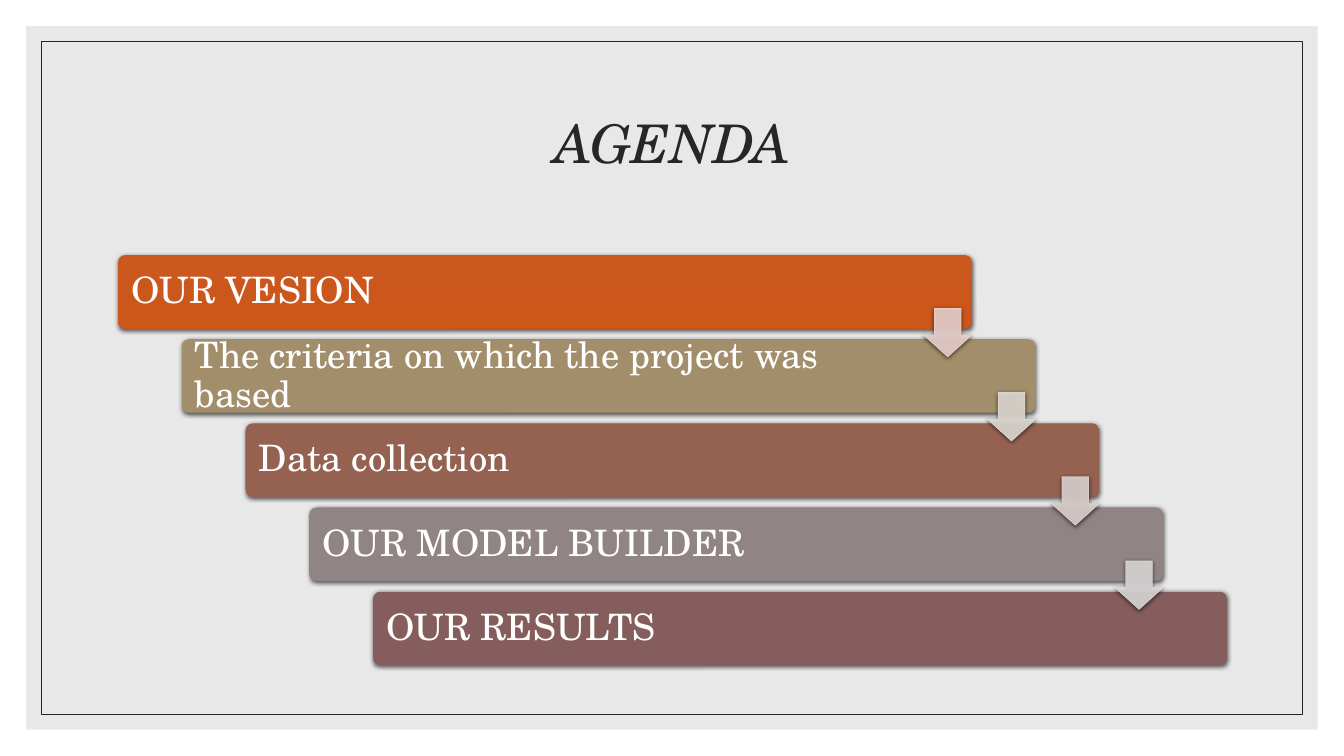
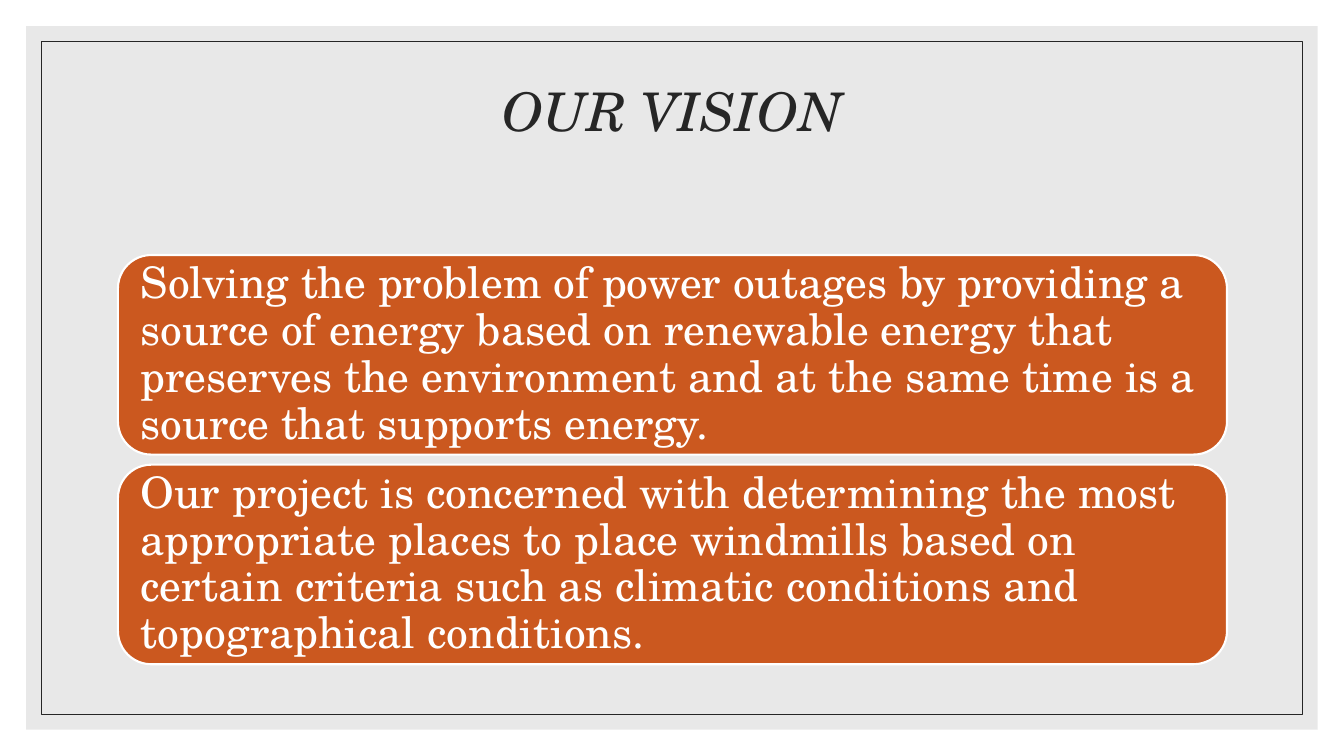
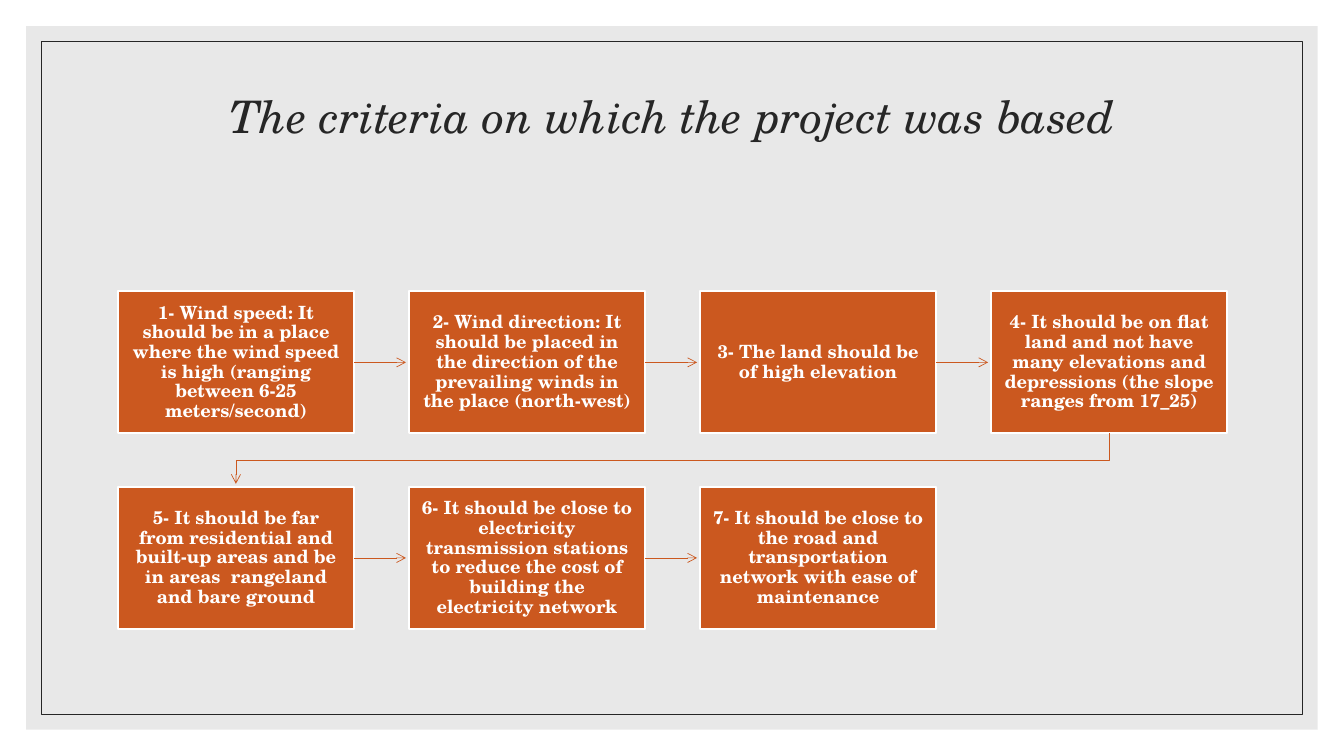
from pptx import Presentation
from pptx.dml.color import RGBColor
from pptx.enum import shapes, text
from pptx.oxml import ns, xmlchemy
from pptx.util import Inches, Pt

FONT = "TeX Gyre Schola"
WHITE = RGBColor(0xFF, 0xFF, 0xFF)
GREY = RGBColor(0xD9, 0xD9, 0xD9)
DARK = RGBColor(0x26, 0x26, 0x26)
RUST = RGBColor(0xCB, 0x58, 0x1F)
WIDE, HIGH = 13.33, 7.5
LEFT, SPAN = 1.17, 11  # content column

KIND = shapes.MSO_SHAPE
MID, SIDE = text.PP_ALIGN.CENTER, text.PP_ALIGN.LEFT

# label, gradient start, gradient end, colour of the arrow to the next step
AGENDA = [
    ("OUR VESION", "CB581F", "CD561A", "ECD1CD"),
    ("The criteria on which the project was based", "A28E6A", "A28D68", "E0DBD4"),
    ("Data collection", "956251", "95604F", "DDD3D0"),
    ("OUR MODEL BUILDER", "918485", "908384", "DCD9D9"),
    ("OUR RESULTS", "855D5D", "855B5B", None),
]
VISION = [
    "Solving the problem of power outages by providing a source of energy based on "
    "renewable energy that preserves the environment and at the same time is a source "
    "that supports energy.",
    "Our project is concerned with determining the most appropriate places to place "
    "windmills based on certain criteria such as climatic conditions and topographical "
    "conditions.",
]
RULES = [
    "1- Wind speed: It should be in a place where the wind speed is high "
    "(ranging between 6-25 meters/second)",
    "2- Wind direction: It should be placed in the direction of the prevailing winds "
    "in the place (north-west)",
    "3- The land should be of high elevation",
    "4- It should be on flat land and not have many elevations and depressions "
    "(the slope ranges from 17_25)",
    "5- It should be far from residential and built-up areas and be in areas  rangeland "
    "and bare ground",
    "6- It should be close to electricity transmission stations to reduce the cost of "
    "building the electricity network",
    "7- It should be close to the road and transportation network with ease of maintenance",
]


def write(shape, words, size, color=WHITE, align=SIDE, bold=False, italic=False,
          pad=(0.1, 0.05, 0.1, 0.05)):
    """Fill a shape with one paragraph; pad is left, top, right, bottom in inches."""
    frame = shape.text_frame
    frame.word_wrap = True
    frame.auto_size = text.MSO_AUTO_SIZE.NONE
    frame.vertical_anchor = text.MSO_ANCHOR.MIDDLE
    (frame.margin_left, frame.margin_top,
     frame.margin_right, frame.margin_bottom) = map(Inches, pad)
    para = frame.paragraphs[0]
    para.alignment, para.line_spacing = align, 0.9
    run = para.add_run()
    run.text = words
    font = run.font
    font.name, font.size, font.bold, font.italic = FONT, Pt(size), bold, italic
    font.color.rgb = color


def add(tag, parent, **attrs):
    node = xmlchemy.OxmlElement(tag)
    for key, val in attrs.items():
        node.set(key, str(val))
    parent.append(node)
    return node


def stroke(line, color, width):
    line.color.rgb, line.width = color, Pt(width)


def draw(slide, kind, at, fill=None, fade=None, line=None, width=1.5, adj=(), alpha=None):
    """Add a preset shape; fade is a pair of colours from top to bottom."""
    shape = slide.shapes.add_shape(kind, *map(Inches, at))
    shape.shadow.inherit = False
    for i, val in enumerate(adj):
        shape.adjustments[i] = val
    if fade:
        shape.fill.gradient()
        shape.fill.gradient_angle = 270
        for stop, color in zip(shape.fill.gradient_stops, fade):
            stop.color.rgb = color
    elif fill is not None:
        shape.fill.solid()
        shape.fill.fore_color.rgb = fill
    else:
        shape.fill.background()
    if line is not None:
        stroke(shape.line, line, width)
    else:
        shape.line.fill.background()
    if alpha:
        for node in list(shape.element.spPr.iter(ns.qn("a:srgbClr"))):
            add("a:alpha", node, val=alpha * 1000)
    return shape


def shade(shape):
    """Give a shape a soft shadow straight below it."""
    glow = add("a:outerShdw", shape.element.spPr.find(ns.qn("a:effectLst")),
               blurRad=Pt(3), dist=Pt(1), dir=5400000, algn="ctr", rotWithShape=0)
    add("a:alpha", add("a:srgbClr", glow, val="000000"), val=63000)


def point(shape):
    """Style a line as a thin rust arrow."""
    stroke(shape.line, RUST, 0.5)
    add("a:tailEnd", shape.element.spPr.find(ns.qn("a:ln")), type="arrow")


def start(deck, words, size=38, lift=0):
    """Add a titled slide; lift raises the title by half that many inches."""
    slide = deck.slides.add_slide(deck.slide_layouts[5])
    title = slide.shapes.title
    title.left, title.top, title.width, title.height = map(Inches, (LEFT, 0.7, SPAN, 1.5))
    write(title, words, size, DARK, MID, italic=True, pad=(0.1, 0.05, 0.1, 0.05 + lift))
    return slide


def frame(deck, slide):
    """Draw the grey panel and thin border, then move them to the shared layout."""
    tree = deck.slide_layouts[5].shapes.element
    for i, (gap, look) in enumerate([(0.26, dict(fill=GREY, alpha=60)),
                                     (0.41, dict(line=DARK, width=0.5))]):
        box = draw(slide, KIND.RECTANGLE, (gap, gap, WIDE - 2 * gap, HIGH - 2 * gap), **look)
        tree.insert(2 + i, box.element)


def agenda(deck):
    slide = start(deck, "AGENDA")
    frame(deck, slide)
    wide, high, arrow = 8.47, 0.73, 0.48
    right, down = (SPAN - wide) / 4, 0.835
    marks = []
    for i, (label, top, end, tint) in enumerate(AGENDA):
        x, y = LEFT + i * right, 2.53 + i * down
        bar = draw(slide, KIND.ROUNDED_RECTANGLE, (x, y, wide, high), adj=[0.1],
                   fade=[RGBColor.from_string(top), RGBColor.from_string(end)])
        shade(bar)
        write(bar, label, 26, pad=(0.11, 0.11, 1.22, 0.11))
        if tint:
            marks.append((x + wide - arrow, y + 0.53, RGBColor.from_string(tint)))
    for x, y, tint in marks:
        shade(draw(slide, KIND.DOWN_ARROW, (x, y, arrow, arrow), fill=tint, line=tint,
                   width=0.5, adj=[0.55, 0.45], alpha=90))


def vision(deck):
    slide = start(deck, "OUR VISION", lift=0.64)
    for i, words in enumerate(VISION):
        box = draw(slide, KIND.ROUNDED_RECTANGLE, (LEFT, 2.53 + i * 2.08, SPAN, 1.98),
                   fill=RUST, line=WHITE)
        write(box, words, 31, pad=[0.13] * 4)


def criteria(deck):
    slide = start(deck, "The criteria on which the project was based", 32, 0.54)
    cols, wide, high, gap = 4, 2.34, 1.41, 0.03
    right, down = (SPAN - wide) / (cols - 1), 1.94
    for i, words in enumerate(RULES):
        row, col = divmod(i, cols)
        x, y = LEFT + col * right, 2.89 + row * down
        box = draw(slide, KIND.RECTANGLE, (x, y, wide, high), fill=RUST, line=WHITE)
        write(box, words, 13, align=MID, bold=True, pad=(0.11, 0.12, 0.11, 0.12))
        if i == len(RULES) - 1:
            continue
        if col < cols - 1:
            mid = y + high / 2
            link = slide.shapes.add_connector(
                shapes.MSO_CONNECTOR.STRAIGHT,
                *map(Inches, (x + wide, mid, x + right - gap, mid)))
            point(link)
            add("a:effectLst", link.element.spPr)
        else:
            far, near = Inches(x + wide / 2), Inches(LEFT + wide / 2)
            turn = Inches(y + (high + down) / 2)
            path = slide.shapes.build_freeform(far, Inches(y + high))
            path.add_line_segments(
                [(far, turn), (near, turn), (near, Inches(y + down - gap))], close=False)
            link = path.convert_to_shape()
            link.fill.background()
            point(link)
            link.shadow.inherit = False


def main():
    deck = Presentation()
    deck.slide_width, deck.slide_height = Inches(WIDE), Inches(HIGH)
    for build in (agenda, vision, criteria):
        build(deck)
    deck.save("out.pptx")


if __name__ == "__main__":
    main()
